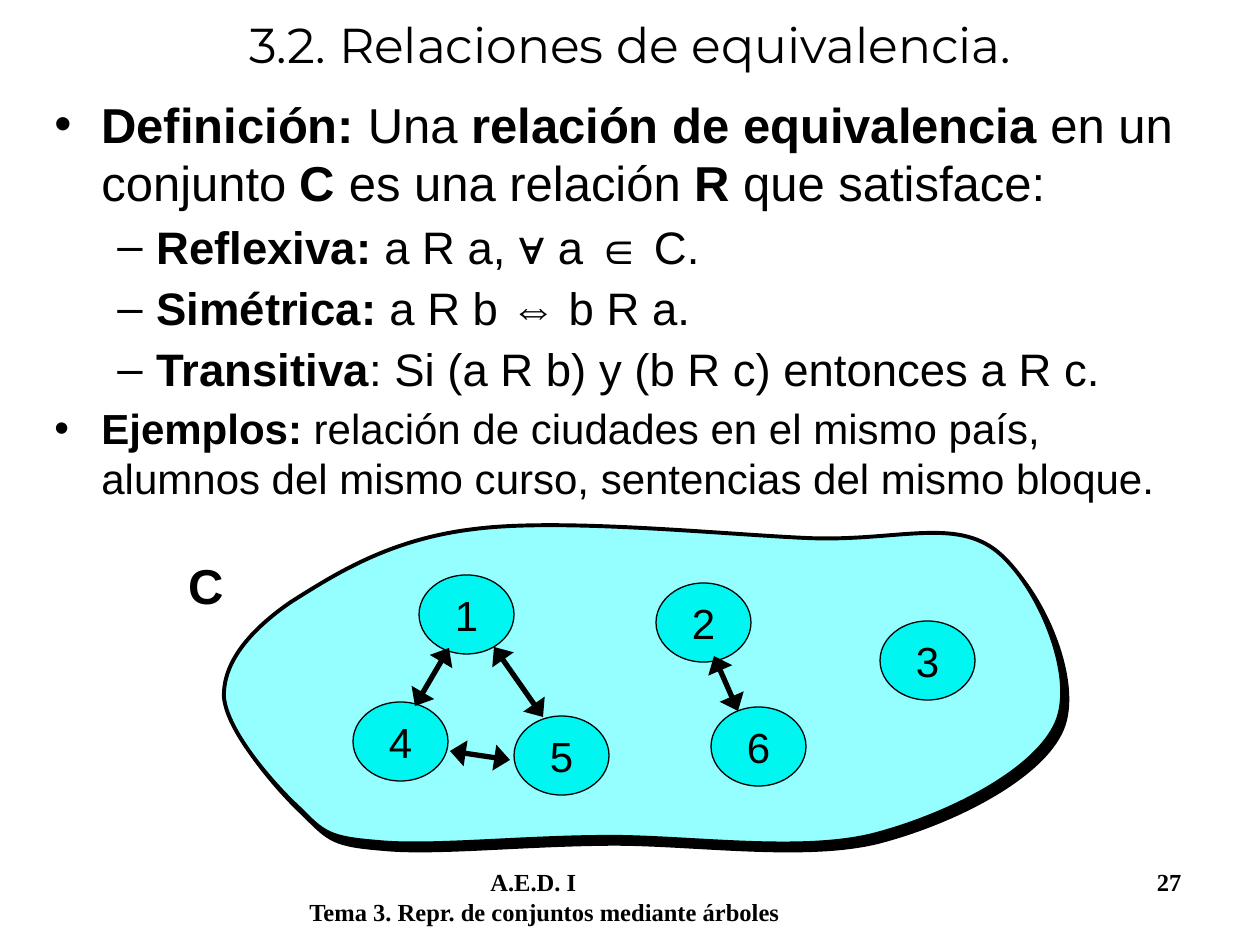
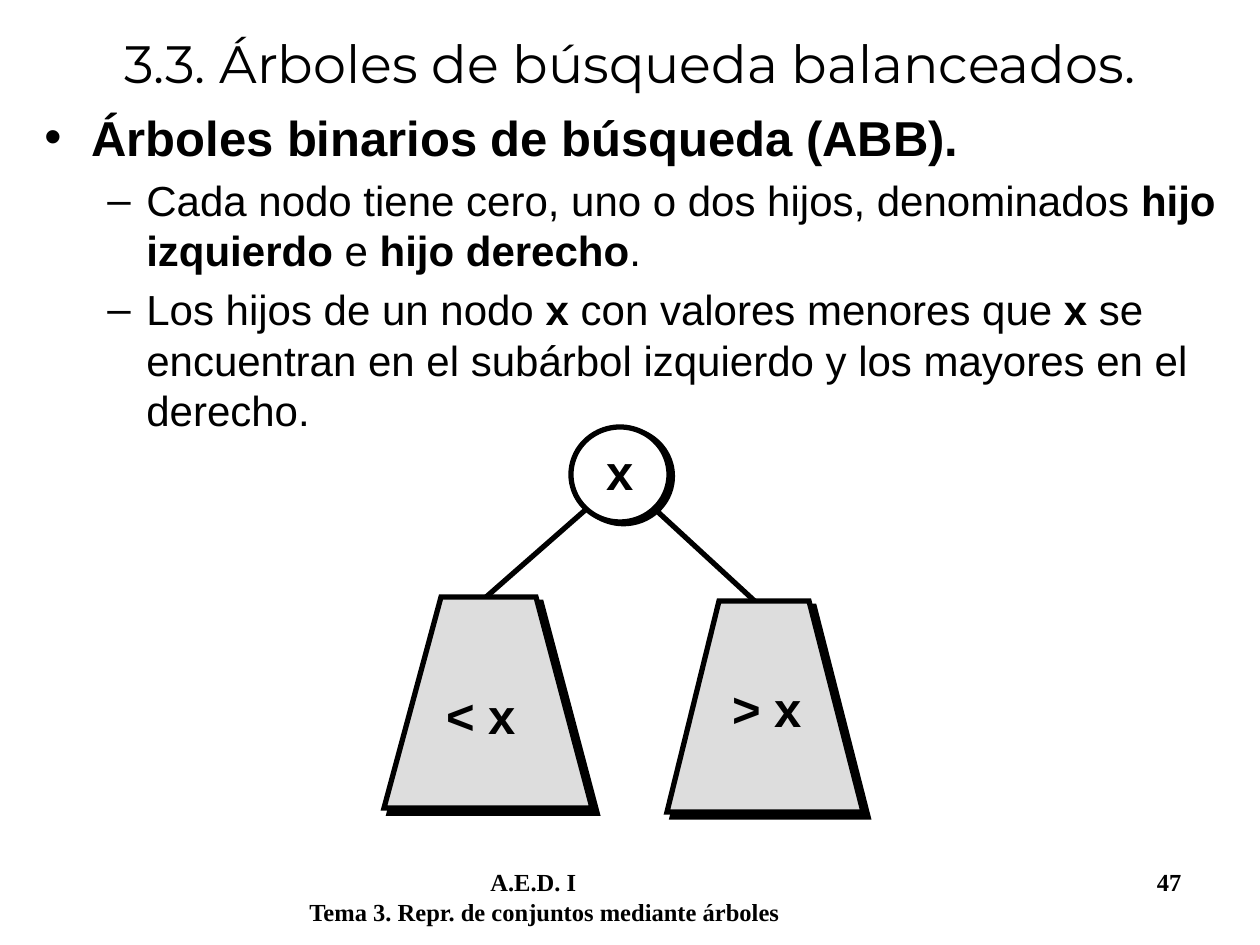
"""Build two class slides: equivalence relations and search trees."""
from typing import NamedTuple

from lxml import etree
from pptx import Presentation
from pptx import util as u
from pptx.dml.color import RGBColor
from pptx.enum import shapes, text
from pptx.oxml.ns import qn

SCALE = 914400 / 126
BLACK = RGBColor(0x00, 0x00, 0x00)
WHITE = RGBColor(0xFF, 0xFF, 0xFF)
PALE = RGBColor(0x95, 0xFF, 0xFF)
CYAN = RGBColor(0x00, 0xF6, 0xF0)
GREY = RGBColor(0xDD, 0xDD, 0xDD)
SANS, SERIF, HEAD = "Arial", "Times New Roman", "Montserrat"
COURSE = "A.E.D. I"
TOPIC = "Tema 3. Repr. de conjuntos mediante árboles"


class Box(NamedTuple):
    left: int
    top: int
    width: int
    height: int


class Item(NamedTuple):
    words: str
    level: int
    size: int


class Node(NamedTuple):
    label: str
    left: int
    top: int


class Link(NamedTuple):
    x1: int
    y1: int
    x2: int
    y2: int


class Shade(NamedTuple):
    dist: float
    angle: int


class Tree(NamedTuple):
    label: str
    place: Box
    points: tuple


class Bullet(NamedTuple):
    mark: str
    margin: int
    hang: int


BULLETS = (Bullet("•", 47, 47), Bullet("–", 102, 39))
TABS = ((181, "l"), (872, "r"))

RULES = (
    Item("*Definición:* Una *relación de equivalencia* en un conjunto *C* "
         "es una relación *R* que satisface:", 0, 28),
    Item("*Reflexiva:* a R a, ∀ a ∈ C.", 1, 26),
    Item("*Simétrica:* a R b ⇔ b R a.", 1, 26),
    Item("*Transitiva*: Si (a R b) y (b R c) entonces a R c.", 1, 26),
    Item("*Ejemplos:* relación de ciudades en el mismo país, alumnos del "
         "mismo curso, sentencias del mismo bloque.", 0, 24),
)
FACTS = (
    Item("*Árboles binarios de búsqueda (ABB).*", 0, 28),
    Item("Cada nodo tiene cero, uno o dos hijos, denominados "
         "*hijo izquierdo* e *hijo derecho*.", 1, 24),
    Item("Los hijos de un nodo *x* con valores menores que *x* se encuentran "
         "en el subárbol izquierdo y los mayores en el derecho.", 1, 24),
)
NODES = (
    Node("1", 419, 575), Node("2", 656, 583), Node("3", 880, 621),
    Node("4", 353, 702), Node("5", 514, 716), Node("6", 711, 707),
)
ARROWS = (
    Link(449, 648, 415, 706), Link(494, 647, 543, 717),
    Link(450, 751, 510, 760), Link(714, 656, 738, 711),
)
OUTLINE = (
    (299, 808),
    (273, 784), (227, 731), (224, 697),
    (223, 663), (249, 631), (291, 602),
    (334, 575), (389, 539), (475, 529),
    (561, 518), (719, 534), (806, 538),
    (893, 542), (951, 518), (994, 549),
    (1036, 580), (1077, 674), (1057, 722),
    (1037, 770), (950, 815), (873, 835),
    (796, 854), (678, 835), (596, 837),
    (513, 838), (428, 847), (378, 842),
    (328, 838), (324, 833), (299, 808),
)
BRANCHES = (Link(615, 484, 477, 605), Link(621, 478, 772, 617))
TREES = (
    Tree("< x", Box(434, 679, 159, 72),
         ((592, 808), (536, 597), (441, 597), (384, 808))),
    Tree("> x", Box(720, 672, 159, 72),
         ((863, 812), (809, 601), (719, 601), (667, 812))),
)


def emu(px: float) -> int:
    """Turn px into EMU."""
    return round(px * SCALE)


def place(box: Box) -> list[int]:
    """Give the EMU corners and sizes of a box."""
    return [emu(side) for side in box]


def style(para, font: str, size: int, bold: bool = False) -> None:
    """Format every run of a paragraph."""
    for run in para.runs:
        run.font.name, run.font.size, run.font.bold = font, u.Pt(size), bold
        run.font.color.rgb = BLACK


def add_text(slide, box: Box, words: str, font: str, size: int,
             bold: bool = False):
    """Add a wrapping text box and return its frame."""
    frame = slide.shapes.add_textbox(*place(box)).text_frame
    frame.word_wrap = True
    frame.text = words
    for para in frame.paragraphs:
        style(para, font, size, bold)
    return frame


def add_title(slide, box: Box, words: str, size: int, pitch: float) -> None:
    """Add the centred slide title."""
    frame = add_text(slide, box, words, HEAD, size)
    frame.vertical_anchor = text.MSO_ANCHOR.MIDDLE
    para = frame.paragraphs[0]
    para.alignment, para.line_spacing = text.PP_ALIGN.CENTER, pitch


def add_footer(slide, number: int) -> None:
    """Add the course, slide number and topic."""
    words = f"\t{COURSE}\t{number}\n{TOPIC}"
    frame = add_text(slide, Box(297, 861, 932, 63), words, SERIF, 14, True)
    props = frame.paragraphs[0]._p.get_or_add_pPr()
    stops = etree.SubElement(props, qn("a:tabLst"))
    for pos, side in TABS:
        etree.SubElement(stops, qn("a:tab"), pos=str(emu(pos)), algn=side)


def add_body(slide, box: Box, items: tuple, gap: float) -> None:
    """Add bulleted items, with words between stars in bold."""
    frame = add_text(slide, box, "", SANS, 28)
    for i, item in enumerate(items):
        para = frame.add_paragraph() if i else frame.paragraphs[0]
        para.level = item.level
        if i:
            para.space_before = u.Pt(round(item.size * gap, 1))
        bullet = BULLETS[item.level]
        props = para._p.get_or_add_pPr()
        props.set("marL", str(emu(bullet.margin)))
        props.set("indent", str(-emu(bullet.hang)))
        etree.SubElement(props, qn("a:buFont"), typeface=SANS)
        etree.SubElement(props, qn("a:buChar"), char=bullet.mark)
        bolds = []
        for j, part in enumerate(item.words.split("*")):
            if part:
                para.add_run().text = part
                bolds.append(j % 2 == 1)
        style(para, SANS, item.size)
        for run, bold in zip(para.runs, bolds):
            run.font.bold = bold


def paint(shape, fill: RGBColor, width: float,
          shade: Shade | None = None) -> None:
    """Set fill, line and an optional hard shadow."""
    shape.fill.solid()
    shape.fill.fore_color.rgb = fill
    shape.line.color.rgb, shape.line.width = BLACK, u.Pt(width)
    shape.shadow.inherit = False
    if shade:
        effects = shape._element.spPr.find(qn("a:effectLst"))
        outer = etree.SubElement(
            effects, qn("a:outerShdw"), dist=str(u.Pt(shade.dist)),
            dir=str(shade.angle * 60000), algn="ctr", rotWithShape="0")
        etree.SubElement(outer, qn("a:srgbClr"), val=str(BLACK))


def add_disc(slide, box: Box, label: str, size: int, bold: bool = False):
    """Add a labelled ellipse and return it."""
    disc = slide.shapes.add_shape(shapes.MSO_SHAPE.OVAL, *place(box))
    frame = disc.text_frame
    frame.text, frame.word_wrap = label, False
    frame.vertical_anchor = text.MSO_ANCHOR.MIDDLE
    frame.paragraphs[0].alignment = text.PP_ALIGN.CENTER
    style(frame.paragraphs[0], SANS, size, bold)
    return disc


def add_link(slide, link: Link, heads: bool = False) -> None:
    """Add a straight line, with a head at both ends if asked."""
    line = slide.shapes.add_connector(
        shapes.MSO_CONNECTOR.STRAIGHT, *map(emu, link))
    line.line.color.rgb, line.line.width = BLACK, u.Pt(3)
    props = line._element.spPr
    if heads:
        for end in ("a:headEnd", "a:tailEnd"):
            etree.SubElement(props.find(qn("a:ln")), qn(end),
                             type="triangle", w="lg", len="med")
    etree.SubElement(props, qn("a:effectLst"))


def add_form(slide, points: tuple):
    """Add a closed outline through the points and return it."""
    first, *rest = [(emu(x), emu(y)) for x, y in points]
    form = slide.shapes.build_freeform(*first)
    form.add_line_segments(rest, close=True)
    return form.convert_to_shape()


def bend(form) -> None:
    """Turn each three straight segments into one cubic curve."""
    lines = list(form._element.iter(qn("a:lnTo")))
    for i in range(0, len(lines), 3):
        curve = etree.Element(qn("a:cubicBezTo"))
        lines[i].addprevious(curve)
        for line in lines[i:i + 3]:
            curve.append(line[0])
            line.getparent().remove(line)


def draw_set(slide) -> None:
    """Draw the slide on equivalence relations."""
    add_footer(slide, 27)
    add_title(slide, Box(42, 0, 1176, 94),
              "3.2. Relaciones de equivalencia.", 28, 0.95)
    add_body(slide, Box(42, 88, 1166, 452), RULES, 0.15)
    form = add_form(slide, OUTLINE)
    bend(form)
    paint(form, PALE, 2.25, Shade(5, 53))
    add_text(slide, Box(176, 549, 102, 72), "C", SANS, 28, True)
    for node in NODES:
        box = Box(node.left, node.top, 95, 79)
        paint(add_disc(slide, box, node.label, 24), CYAN, 0.75)
    for arrow in ARROWS:
        add_link(slide, arrow, heads=True)


def draw_tree(slide) -> None:
    """Draw the slide on binary search trees."""
    add_footer(slide, 47)
    add_title(slide, Box(0, 0, 1260, 126),
              "3.3. Árboles de búsqueda balanceados.", 30, 1.0)
    add_body(slide, Box(32, 101, 1197, 358), FACTS, 0.2)
    for branch in BRANCHES:
        add_link(slide, branch)
    root = add_disc(slide, Box(571, 427, 98, 95), "x", 28, True)
    paint(root, WHITE, 3, Shade(2.2, 27))
    frame = root.text_frame
    frame.word_wrap, frame.vertical_anchor = True, text.MSO_ANCHOR.TOP
    frame.margin_left = frame.margin_right = 0
    frame.margin_top = frame.margin_bottom = emu(1)
    for tree in TREES:
        form = add_form(slide, tree.points)
        paint(form, GREY, 3, Shade(4.2, 45))
        etree.SubElement(form._element.spPr.find(qn("a:ln")),
                         qn("a:miter"), lim="800000")
        add_text(slide, tree.place, tree.label, SANS, 28, True)


def main() -> None:
    """Build and save both slides."""
    deck = Presentation()
    deck.slide_width, deck.slide_height = emu(1260), emu(945)
    for draw in (draw_set, draw_tree):
        draw(deck.slides.add_slide(deck.slide_layouts[6]))
    deck.save("out.pptx")


if __name__ == "__main__":
    main()
